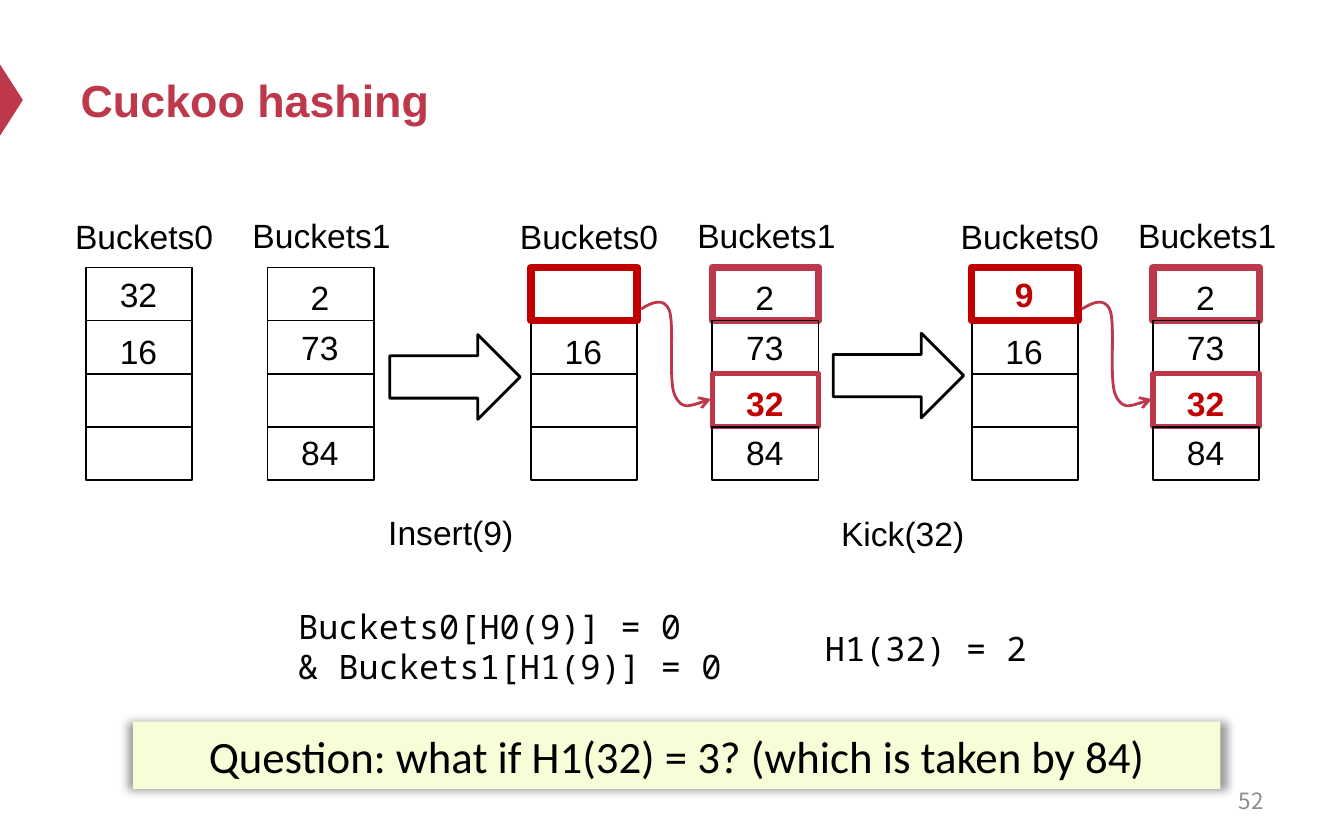
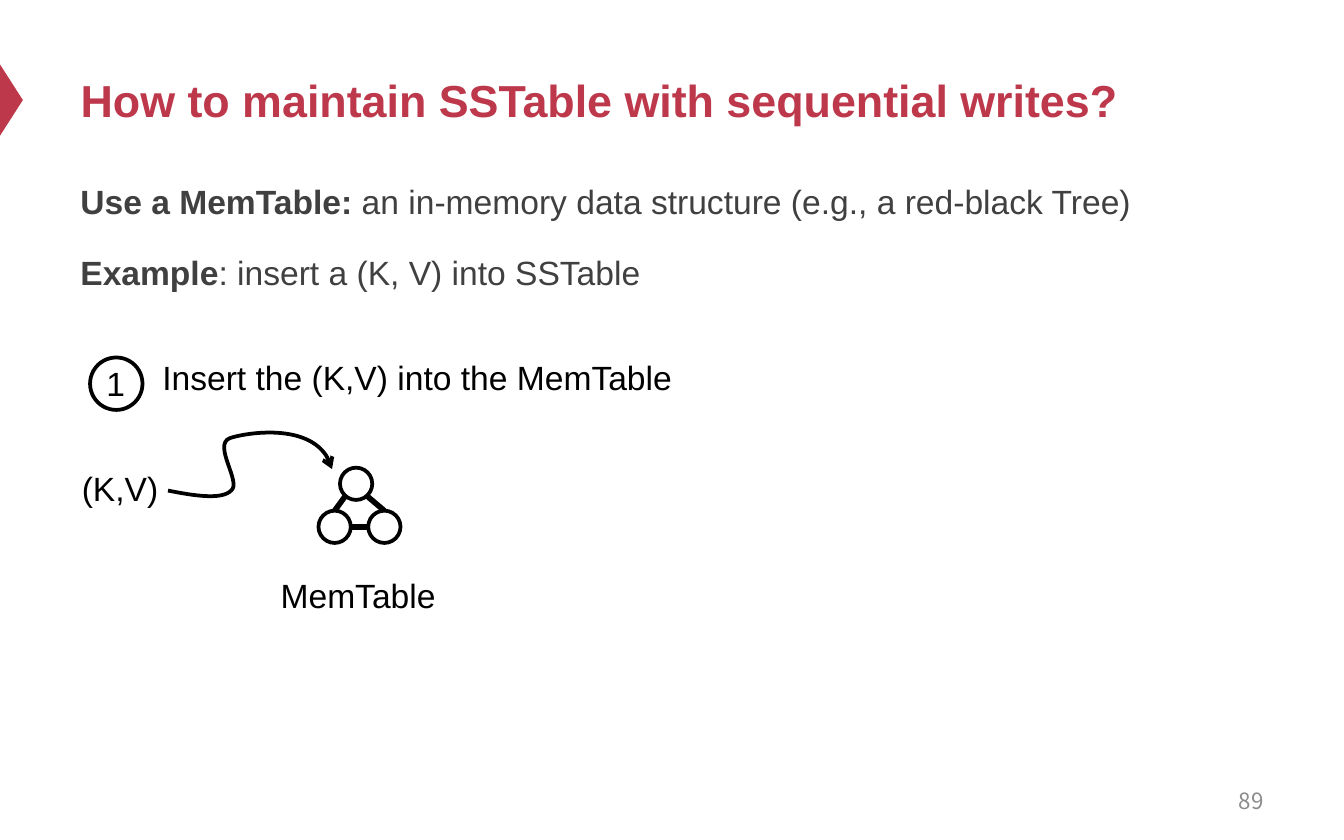
import pptx
import pptx.util
import pptx.dml.color
import pptx.enum.shapes
import pptx.enum.text
import pptx.oxml.ns
from lxml import etree

Inches = pptx.util.Inches
Pt = pptx.util.Pt
SHAPE = pptx.enum.shapes.MSO_SHAPE
ALIGN = pptx.enum.text.PP_ALIGN
ANCHOR = pptx.enum.text.MSO_ANCHOR
qn = pptx.oxml.ns.qn

COLORS = {
    "accent": "BE384B", "kick": "C00000", "ink": "000000",
    "body": "404040", "number": "8C8C8C", "note": "F5FED6",
}
STYLES = {
    "title": {"size": Pt(24), "name": "Arial", "bold": True, "color": "accent"},
    "label": {"size": Pt(18), "name": "Arial", "color": "ink"},
    "kicked": {"size": Pt(18), "name": "Arial", "bold": True, "color": "kick"},
    "body": {"size": Pt(18), "name": "Arial", "bold": False, "color": "body"},
    "strong": {"size": Pt(18), "name": "Arial", "bold": True, "color": "body"},
    "code": {"size": Pt(18), "name": "Noto Sans Mono", "color": "ink"},
    "note": {"size": Pt(24), "name": "Calibri", "color": "ink"},
    "number": {"size": Pt(12), "name": "Noto Sans CJK SC", "color": "number"},
}

CELL_W, CELL_H, TABLE_TOP, BUCKET_STEP = 0.79, 0.395, 1.99, 1.35
PLAIN, TAKEN, TARGET, FREED = ("ink", 1), ("accent", 4), ("accent", 3), ("kick", 4)
EMPTY = ("", "label", 0, PLAIN)
SIXTEEN = ("16", "label", 0.03, PLAIN)
SEVENTY_THREE = ("73", "label", 0, PLAIN)
EIGHTY_FOUR = ("84", "label", -0.01, PLAIN)
KICKED_BUCKET = [("2", "label", 0.02, TAKEN), SEVENTY_THREE,
                 ("32", "kicked", 0.02, TARGET), EIGHTY_FOUR]
STAGES = [
    (0.64, [("32", "label", 0, PLAIN), SIXTEEN, EMPTY, EMPTY],
     [("2", "label", 0.02, PLAIN), SEVENTY_THREE, EMPTY, EIGHTY_FOUR]),
    (3.95, [("", "label", 0, FREED), SIXTEEN, EMPTY, EMPTY], KICKED_BUCKET),
    (7.23, [("9", "kicked", 0, FREED), SIXTEEN, EMPTY, EMPTY], KICKED_BUCKET),
]
KICK_CURVE = [(0.82, 2.3), (0.9, 2.25), (0.99, 2.21), (1.03, 2.31), (1.07, 2.42),
              (1.02, 2.83), (1.07, 2.94), (1.12, 3.05), (1.23, 3.01), (1.34, 2.97)]
STEPS = [("Insert(9)", 2.79, 3.76, 2.9, 2.49), ("Kick(32)", 6.16, 3.77, 6.2, 2.48)]
INSERT_CODE = ["Buckets0[H0(9)] = 0", "& Buckets1[H1(9)] = 0"]
QUESTION = "Question: what if H1(32) = 3? (which is taken by 84)"

MEMTABLE_TEXT = [
    [("Use a MemTable: ", "strong"),
     ("an in-memory data structure (e.g., a red-black Tree)", "body")],
    [("Example", "strong"), (": insert a (K, V) into SSTable", "body")],
]
NODES = [(2.53, 3.48), (2.37, 3.8), (2.74, 3.8)]
EDGES = [(2.49, 3.8, 2.57, 3.69), (2.61, 3.92, 2.74, 3.92), (2.73, 3.69, 2.86, 3.8)]
INSERT_CURVE = [(1.25, 3.65), (1.45, 3.69), (1.65, 3.72), (1.72, 3.65), (1.8, 3.59),
                (1.58, 3.31), (1.71, 3.26), (1.83, 3.22), (2.38, 3.13), (2.47, 3.49)]
MEMTABLE_LABELS = [("Insert the (K,V) into the MemTable", 1.11, 2.61, 4.1),
                   ("MemTable", 1.99, 4.23, 1.37), ("(K,V)", 0.51, 3.43, 0.78)]


def rgb(color):
    return pptx.dml.color.RGBColor.from_string(COLORS[color])


def write(tf, paragraphs, align=ALIGN.LEFT, **frame):
    for key, value in frame.items():
        setattr(tf, key, value)
    for i, runs in enumerate(paragraphs):
        p = tf.add_paragraph() if i else tf.paragraphs[0]
        p.alignment = align
        for text, style in runs:
            r = p.add_run()
            r.text = text
            for key, value in STYLES[style].items():
                if key == "color":
                    r.font.color.rgb = rgb(value)
                else:
                    setattr(r.font, key, value)
    return tf


def add_text(s, x, y, w, h, paragraphs, align=ALIGN.LEFT, word_wrap=True, **frame):
    tb = s.shapes.add_textbox(Inches(x), Inches(y), Inches(w), Inches(h))
    return write(tb.text_frame, paragraphs, align, word_wrap=word_wrap, **frame)


def style_shape(sp, fill=None, line=None):
    sp.shadow.inherit = False
    if fill:
        sp.fill.solid()
        sp.fill.fore_color.rgb = rgb(fill)
    else:
        sp.fill.background()
    if line:
        sp.line.color.rgb = rgb(line[0])
        sp.line.width = Pt(line[1])
    else:
        sp.line.fill.background()
    return sp


def add_shape(s, kind, x, y, w, h, fill=None, line=None):
    sp = s.shapes.add_shape(kind, Inches(x), Inches(y), Inches(w), Inches(h))
    return style_shape(sp, fill, line)


def add_curve(s, points, line):
    start, *rest = [(Inches(x), Inches(y)) for x, y in points]
    builder = s.shapes.build_freeform(*start)
    builder.add_line_segments(rest, close=False)
    sp = style_shape(builder.convert_to_shape(), line=line)
    segments = list(sp._element.iter(qn("a:lnTo")))
    outline = segments[0].getparent()
    for i in range(0, len(segments), 3):
        bezier = etree.SubElement(outline, qn("a:cubicBezTo"))
        for segment in segments[i:i + 3]:
            bezier.append(segment[0])
            outline.remove(segment)
    etree.SubElement(sp.line._get_or_add_ln(), qn("a:tailEnd"), type="arrow")


def add_edge(s, x1, y1, x2, y2):
    c = s.shapes.add_connector(pptx.enum.shapes.MSO_CONNECTOR.STRAIGHT,
                               Inches(x1), Inches(y1), Inches(x2), Inches(y2))
    c.line.color.rgb = rgb("ink")
    c.line.width = Pt(3)
    etree.SubElement(c._element.spPr, qn("a:effectLst"))


def add_glow(sp):
    effects = sp._element.spPr.find(qn("a:effectLst"))
    shadow = etree.SubElement(effects, qn("a:outerShdw"), blurRad=str(Pt(5)), dist="0",
                              dir="0", sx="101000", sy="101000", algn="ctr")
    color = etree.SubElement(shadow, qn("a:srgbClr"), val=COLORS["ink"])
    etree.SubElement(color, qn("a:alpha"), val="40000")


def add_slide(prs, title, number):
    s = prs.slides.add_slide(prs.slide_layouts[5])
    marker = add_shape(s, SHAPE.ISOSCELES_TRIANGLE, -0.18, 0.66, 0.53, 0.17, "accent")
    marker.rotation = 90
    place = {"left": 0.5, "top": 0.25, "width": 9, "height": 0.98}
    for key, value in place.items():
        setattr(s.shapes.title, key, Inches(value))
    write(s.shapes.title.text_frame, [[(title, "title")]], word_wrap=True,
          auto_size=pptx.enum.text.MSO_AUTO_SIZE.NONE, vertical_anchor=ANCHOR.MIDDLE)
    add_text(s, 7.17, 5.79, 2.33, 0.33, [[(number, "number")]], ALIGN.RIGHT,
             vertical_anchor=ANCHOR.MIDDLE)
    return s


def add_bucket(s, x, cells, first_on_top):
    rows = list(enumerate(cells))
    for row, (value, style, shift, line) in rows[::-1] if first_on_top else rows:
        y = TABLE_TOP + row * CELL_H
        add_shape(s, SHAPE.RECTANGLE, x, y, CELL_W, CELL_H, line=line)
        if value:
            add_text(s, x + 0.15, y + shift, 0.48, 0.4, [[(value, style)]],
                     ALIGN.CENTER, word_wrap=False)


def build_cuckoo(prs):
    s = add_slide(prs, "Cuckoo hashing", "52")
    for i, (x, *buckets) in enumerate(STAGES):
        for column, cells in enumerate(buckets):
            add_bucket(s, x + column * BUCKET_STEP, cells, column == 0)
            add_text(s, x - 0.18 + column * 1.32, 1.56 - column * 0.01, 1.31, 0.4,
                     [[(f"Buckets{column}", "label")]])
        if i:
            add_curve(s, [(x + dx, y) for dx, y in KICK_CURVE], ("accent", 1.5))
    for text, x, y, arrow_x, arrow_y in STEPS:
        add_shape(s, SHAPE.RIGHT_ARROW, arrow_x, arrow_y, 0.97, 0.63, line=("ink", 1.5))
        add_text(s, x, y, 1.31, 0.4, [[(text, "label")]])
    tf = add_text(s, 1.62, 4.46, 3.93, 0.71, [[(line, "code")] for line in INSERT_CODE])
    for p in tf.paragraphs:
        p.level = 1
        p._p.get_or_add_pPr().set("marL", str(Inches(0.5)))
    add_text(s, 6.04, 4.62, 1.73, 0.4, [[("H1(32) = 2", "code")]], word_wrap=False)
    note = add_shape(s, SHAPE.RECTANGLE, 0.99, 5.37, 8.09, 0.5, "note")
    add_glow(note)
    write(note.text_frame, [[(QUESTION, "note")]], ALIGN.CENTER, word_wrap=True,
          vertical_anchor=ANCHOR.TOP)


def build_memtable(prs):
    s = add_slide(prs, "How to maintain SSTable with sequential writes?", "89")
    tf = add_text(s, 0.5, 1.24, 9, 1.18, MEMTABLE_TEXT)
    for i, p in enumerate(tf.paragraphs):
        p.line_spacing = 1.2
        if i:
            p.space_before = Pt(12)
    add_shape(s, SHAPE.OVAL, 0.67, 2.66, 0.39, 0.39, line=("ink", 2))
    add_text(s, 0.69, 2.65, 0.34, 0.4, [[("1", "label")]], ALIGN.CENTER, word_wrap=False)
    for x, y in NODES:
        add_shape(s, SHAPE.OVAL, x, y, 0.24, 0.24, line=("ink", 2))
    for edge in EDGES:
        add_edge(s, *edge)
    for text, x, y, w in MEMTABLE_LABELS:
        add_text(s, x, y, w, 0.4, [[(text, "label")]], word_wrap=False)
    add_curve(s, INSERT_CURVE, ("ink", 2))


def main():
    prs = pptx.Presentation()
    prs.slide_width, prs.slide_height = Inches(10), Inches(6.25)
    build_cuckoo(prs)
    build_memtable(prs)
    prs.save("out.pptx")


if __name__ == "__main__":
    main()
